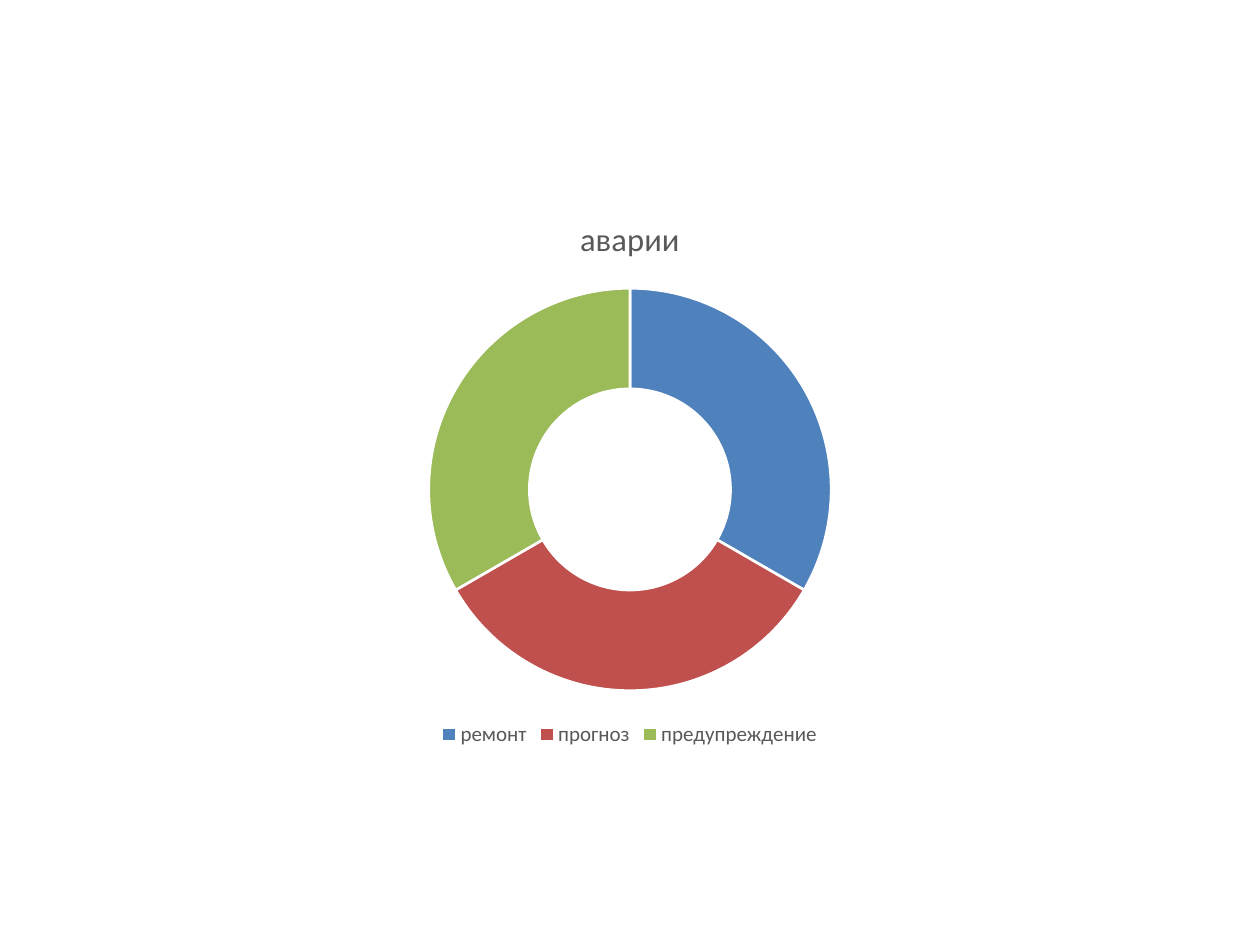
from pptx import Presentation
from pptx.chart.data import CategoryChartData
from pptx.dml.color import RGBColor
from pptx.enum.chart import XL_CHART_TYPE, XL_LEGEND_POSITION
from pptx.util import Inches, Pt

COLORS = {
    "text": "595959",
    "gap": "FFFFFF",
    "ремонт": "4F81BD",
    "прогноз": "C0504D",
    "предупреждение": "9BBB59",
}
SHARES = {"ремонт": 33, "прогноз": 33, "предупреждение": 33}
TITLE_FORMAT = {"name": "Calibri", "size": Pt(18.6), "bold": False}
LEGEND_FORMAT = {"name": "Calibri", "size": Pt(12), "bold": False}


def color(key):
    return RGBColor.from_string(COLORS[key])


def format_font(font, values):
    for attribute, value in values.items():
        setattr(font, attribute, value)
    font.color.rgb = color("text")


def add_accidents_doughnut(slide, left, top, width, height):
    data = CategoryChartData()
    data.categories = list(SHARES)
    data.add_series("аварии", list(SHARES.values()))
    doughnut = slide.shapes.add_chart(
        XL_CHART_TYPE.DOUGHNUT, left, top, width, height, data
    ).chart
    format_font(doughnut.font, LEGEND_FORMAT)

    # Title
    doughnut.has_title = True
    heading = doughnut.chart_title.text_frame.paragraphs[0].add_run()
    heading.text = "аварии"
    format_font(heading.font, TITLE_FORMAT)
    doughnut.chart_title.include_in_layout = False

    # Legend
    doughnut.has_legend = True
    doughnut.legend.position = XL_LEGEND_POSITION.BOTTOM
    doughnut.legend.include_in_layout = False
    format_font(doughnut.legend.font, LEGEND_FORMAT)

    # Ring segments with white gaps
    ring = doughnut.plots[0]
    ring.vary_by_categories = True
    for index, category in enumerate(SHARES):
        segment = ring.series[0].points[index].format
        segment.fill.solid()
        segment.fill.fore_color.rgb = color(category)
        segment.line.color.rgb = color("gap")
        segment.line.width = Pt(1.5)


def main():
    presentation = Presentation()
    presentation.slide_width = Inches(10)
    presentation.slide_height = Inches(7.5)
    slide = presentation.slides.add_slide(presentation.slide_layouts[6])
    width, height = Inches(6.67), Inches(4.44)
    add_accidents_doughnut(
        slide,
        (presentation.slide_width - width) // 2,
        (presentation.slide_height - height) // 2,
        width,
        height,
    )
    presentation.save("out.pptx")


if __name__ == "__main__":
    main()
